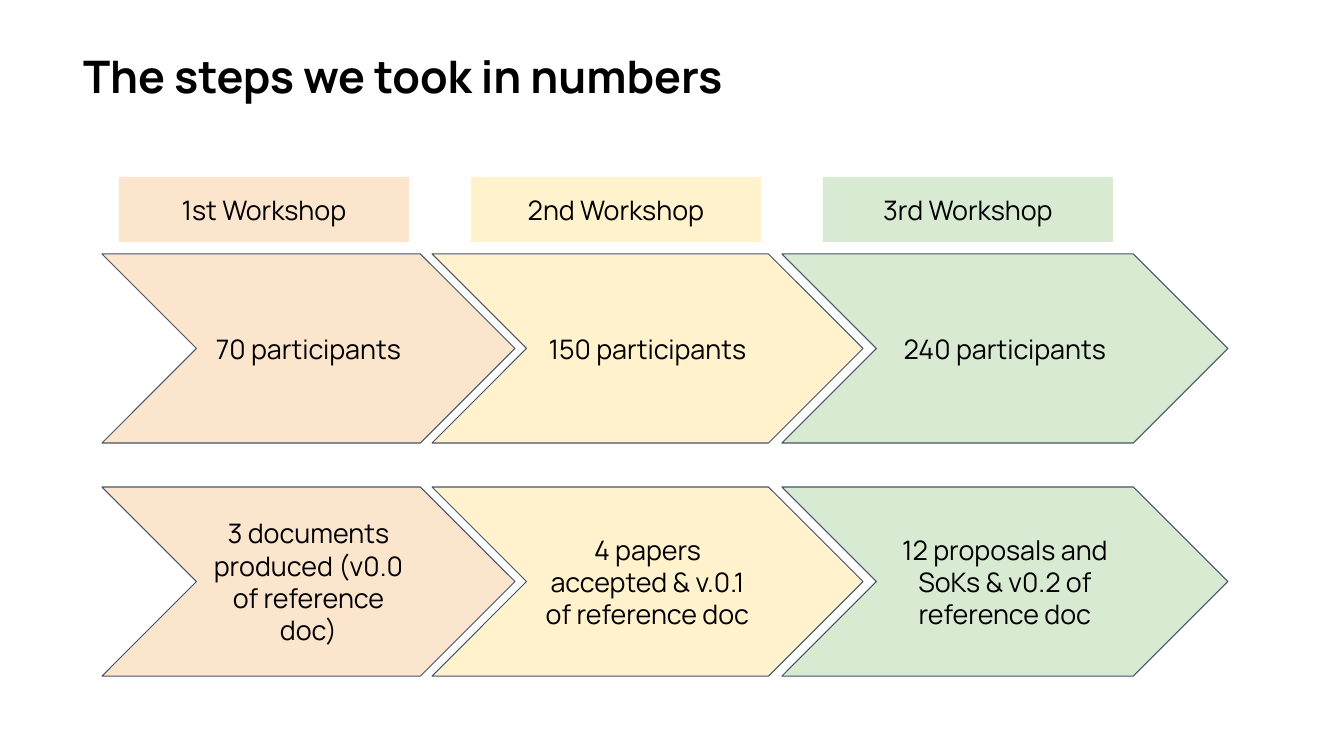
from pptx import Presentation
from pptx.dml.color import RGBColor
from pptx.enum.shapes import MSO_SHAPE
from pptx.enum.text import MSO_ANCHOR, PP_ALIGN
from pptx.util import Emu, Pt

COLORS = {
    "text": "000000",
    "outline": "44546A",
    "peach": "FCE5CD",
    "yellow": "FFF2CC",
    "green": "D9EAD3",
}


def px(n):
    return Emu(round(n * 914400 / 100.8))


def color(name):
    return RGBColor.from_string(COLORS[name])


class Deck:
    font = "Manrope"
    inset = 13

    def __init__(self, width, height):
        self.prs = Presentation()
        self.prs.slide_width, self.prs.slide_height = px(width), px(height)
        self.s = self.prs.slides.add_slide(self.prs.slide_layouts[5])

    def set_text(self, sp, text, size, align, bold=False):
        tf = sp.text_frame
        tf.word_wrap = True
        tf.vertical_anchor = MSO_ANCHOR.MIDDLE
        tf.margin_left = tf.margin_right = px(self.inset)
        tf.margin_top = tf.margin_bottom = px(self.inset)
        p = tf.paragraphs[0]
        p.text = text
        p.alignment = align
        p.font.name = self.font
        p.font.size = Pt(size)
        p.font.bold = bold
        p.font.color.rgb = color("text")

    def title(self, text, x, y, w, h):
        sp = self.s.shapes.title
        sp.left, sp.top, sp.width, sp.height = map(px, (x, y, w, h))
        self.set_text(sp, text, 32, PP_ALIGN.LEFT, bold=True)

    def box(self, kind, text, fill, x, y, w, h):
        sp = self.s.shapes.add_shape(kind, *map(px, (x, y, w, h)))
        sp.shadow.inherit = False
        sp.fill.solid()
        sp.fill.fore_color.rgb = color(fill)
        self.set_text(sp, text, 19.2, PP_ALIGN.CENTER)
        return sp

    def label(self, text, fill, x, y, w, h):
        sp = self.box(MSO_SHAPE.RECTANGLE, text, fill, x, y, w, h)
        sp.line.fill.background()

    def chevron(self, text, fill, x, y, w, h):
        sp = self.box(MSO_SHAPE.CHEVRON, text, fill, x, y, w, h)
        sp.line.color.rgb = color("outline")
        sp.line.width = Pt(0.75)


def main():
    deck = Deck(1344, 756)
    deck.title("The steps we took in numbers", 70, 6, 1029, 139)
    workshops = [
        ("1st Workshop", "peach", 102, 413,
         ("70 participants", "3 documents produced (v0.0 of reference doc)")),
        ("2nd Workshop", "yellow", 432, 431,
         ("150 participants", "4 papers accepted & v.0.1 of reference doc")),
        ("3rd Workshop", "green", 782, 446,
         ("240 participants", "12 proposals and SoKs & v0.2 of reference doc")),
    ]
    for i, (name, fill, x, w, facts) in enumerate(workshops):
        deck.label(name, fill, 119 + 352 * i, 177, 290, 65)
        for row, fact in enumerate(facts):
            deck.chevron(fact, fill, x, 254 + 233 * row, w, 189)
    deck.prs.save("out.pptx")


if __name__ == "__main__":
    main()
